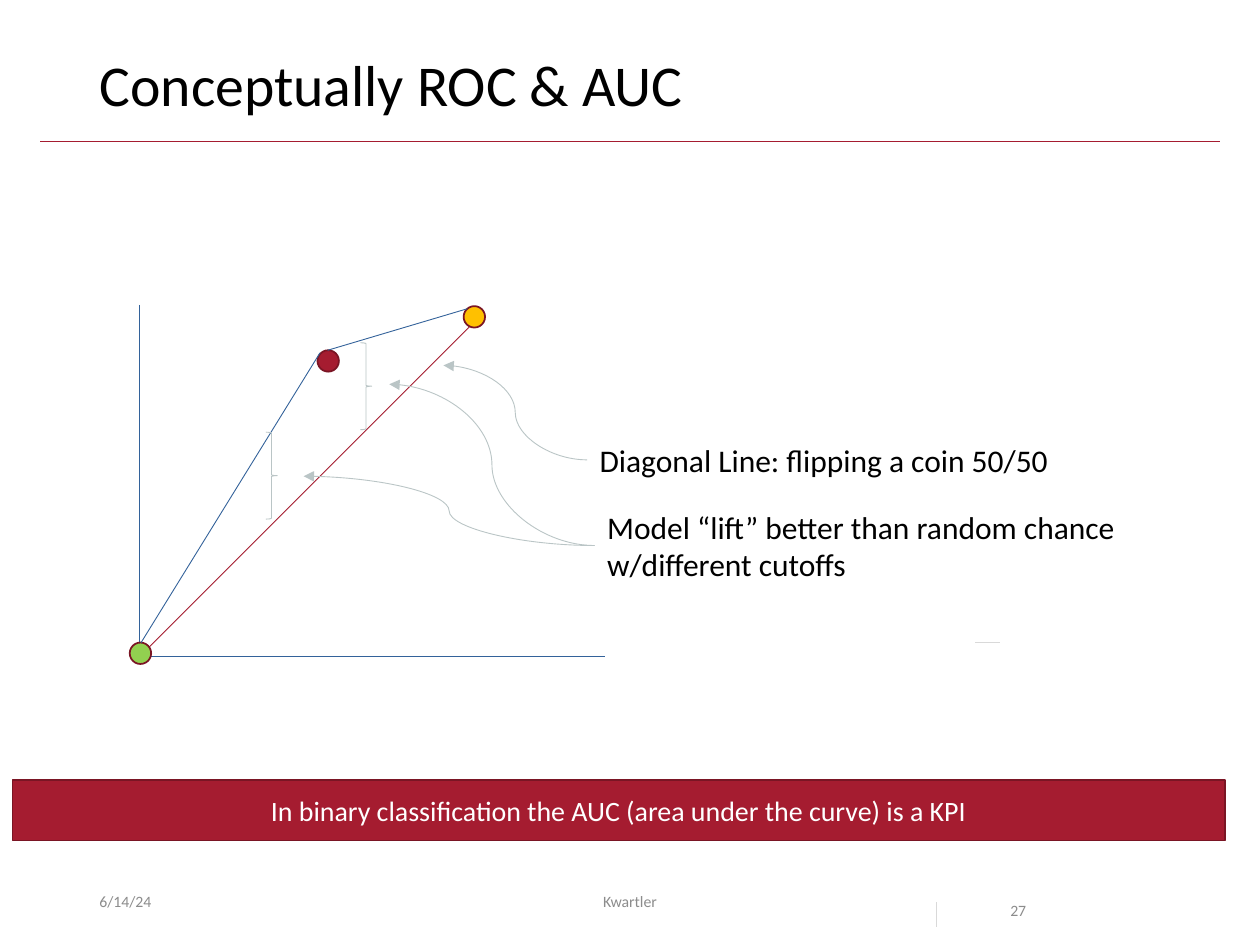
import pptx
import pptx.util
import pptx.dml.color
import pptx.enum.shapes
import pptx.enum.text
import pptx.oxml
import pptx.oxml.ns
import lxml.etree

Inches = pptx.util.Inches
SHAPE = pptx.enum.shapes.MSO_SHAPE
CONNECTOR = pptx.enum.shapes.MSO_CONNECTOR
ALIGN = pptx.enum.text.PP_ALIGN
ANCHOR = pptx.enum.text.MSO_ANCHOR
AUTO_SIZE = pptx.enum.text.MSO_AUTO_SIZE

CRIMSON, DARK_CRIMSON = "A51C30", "7A1524"
BLUE, SILVER, PALE = "33629A", "BAC5C6", "D9D9D9"
BLACK, WHITE, GRAY = "000000", "FFFFFF", "8C8C8C"


def rgb(value):
    return pptx.dml.color.RGBColor.from_string(value)


def write(holder, text, size, color, align=ALIGN.LEFT, anchor=ANCHOR.TOP,
          wrap=True, spacing=None, fit=AUTO_SIZE.NONE):
    frame = holder.text_frame
    frame.text = text
    frame.word_wrap = wrap
    frame.auto_size = fit
    frame.vertical_anchor = anchor
    paragraph = frame.paragraphs[0]
    paragraph.alignment = align
    if spacing:
        paragraph.line_spacing = spacing
    font = paragraph.runs[0].font
    font.name = "Calibri"
    font.size = pptx.util.Pt(size)
    font.color.rgb = rgb(color)


def add_text(slide, box, text, size, color, **options):
    holder = slide.shapes.add_textbox(*map(Inches, box))
    write(holder, text, size, color, **options)


def add_title(slide, text):
    title = slide.shapes.title
    title.left, title.top, title.width, title.height = map(
        Inches, (0.69, 0.4, 8.62, 0.65))
    write(title, text, 33, BLACK, spacing=0.9)


def add_line(shapes, start, end, color, kind=CONNECTOR.STRAIGHT):
    line = shapes.add_connector(kind, *map(Inches, (*start, *end)))
    line.line.color.rgb = rgb(color)
    line.line.width = pptx.util.Pt(0.5)
    effects = pptx.oxml.ns.qn("a:effectLst")
    lxml.etree.SubElement(line._element.spPr, effects)
    return line


def add_curved_arrow(shapes, start, end):
    arrow = add_line(shapes, start, end, SILVER, CONNECTOR.CURVE)
    tail = pptx.oxml.ns.qn("a:tailEnd")
    lxml.etree.SubElement(arrow.line._get_or_add_ln(), tail, type="triangle")


def add_figure(shapes, kind, box, fill, outline, width):
    figure = shapes.add_shape(kind, *map(Inches, box))
    figure.shadow.inherit = False
    if fill:
        figure.fill.solid()
        figure.fill.fore_color.rgb = rgb(fill)
    else:
        figure.fill.background()
    figure.line.color.rgb = rgb(outline)
    figure.line.width = pptx.util.Pt(width)
    return figure


def add_roc_plot(slide):
    plot = slide.shapes.add_group_shape().shapes
    for start, end, color in (
        ((1.11, 2.42), (1.11, 5.18), BLUE),
        ((1.09, 5.21), (4.8, 5.21), BLUE),
        ((1.11, 5.21), (3.76, 2.56), CRIMSON),
    ):
        add_line(plot, start, end, color)
    for left, top, fill in (
        (2.52, 2.78, CRIMSON), (1.03, 5.1, "92D050"), (3.68, 2.43, "FFC000"),
    ):
        add_figure(plot, SHAPE.OVAL, (left, top, 0.17, 0.17),
                   fill, DARK_CRIMSON, 1)
    add_line(plot, (1.12, 5.1), (2.54, 2.8), BLUE)
    add_line(plot, (2.6, 2.78), (3.71, 2.45), BLUE)


def add_annotations(slide):
    add_text(slide, (4.66, 3.45, 3.81, 0.4),
             "Diagonal Line: flipping a coin 50/50", 18, BLACK,
             wrap=False, fit=AUTO_SIZE.SHAPE_TO_FIT_TEXT)
    add_text(slide, (4.72, 3.98, 4.75, 0.71),
             "Model “lift” better than random chance w/different cutoffs",
             18, BLACK, fit=AUTO_SIZE.SHAPE_TO_FIT_TEXT)
    for left, top in ((2.86, 2.72), (2.11, 3.43)):
        add_figure(slide.shapes, SHAPE.RIGHT_BRACE, (left, top, 0.09, 0.69),
                   None, SILVER, 0.5)
    add_curved_arrow(slide.shapes, (4.66, 3.65), (3.52, 2.9))
    for lift in ((3.09, 3.05), (2.41, 3.78)):
        add_curved_arrow(slide.shapes, (4.72, 4.33), lift)


def add_footer(slide):
    add_text(slide, (0.69, 6.95, 2.25, 0.4), "6/14/24", 9, GRAY,
             anchor=ANCHOR.MIDDLE)
    add_text(slide, (3.31, 6.95, 3.38, 0.4), "Kwartler", 9, GRAY,
             align=ALIGN.CENTER, anchor=ANCHOR.MIDDLE)
    add_text(slide, (7.92, 6.95, 0.94, 0.4), "27", 9, GRAY, spacing=2.0)
    add_line(slide.shapes, (7.43, 7.16), (7.43, 7.36), PALE)
    add_line(slide.shapes, (7.74, 5.1), (7.94, 5.1), PALE)


def main():
    deck = pptx.Presentation()
    deck.slide_width, deck.slide_height = Inches(10), Inches(7.5)
    slide = deck.slides.add_slide(deck.slide_layouts[5])
    add_line(slide.shapes, (0.32, 1.12), (9.68, 1.12), CRIMSON)
    add_title(slide, "Conceptually ROC & AUC")
    add_roc_plot(slide)
    add_annotations(slide)
    takeaway = add_figure(slide.shapes, SHAPE.RECTANGLE,
                          (0.1, 6.19, 9.62, 0.48), CRIMSON, DARK_CRIMSON, 1)
    write(takeaway,
          "In binary classification the AUC (area under the curve) is a KPI",
          16, WHITE, align=ALIGN.CENTER, anchor=ANCHOR.MIDDLE)
    add_footer(slide)
    deck.save("out.pptx")


if __name__ == "__main__":
    main()
